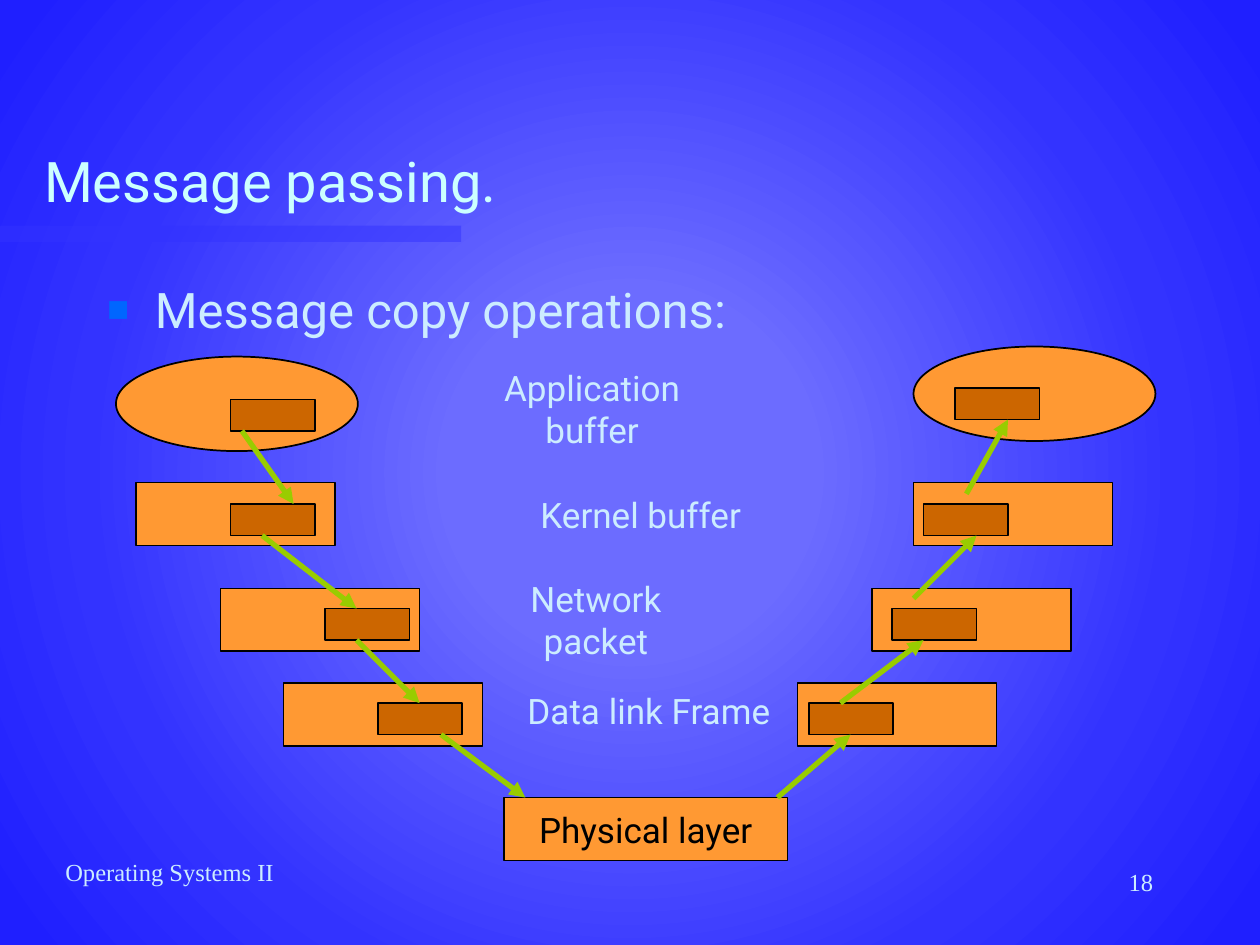
from dataclasses import dataclass

from pptx import Presentation
from pptx.dml.color import RGBColor
from pptx.enum.shapes import MSO_CONNECTOR as Connector, MSO_SHAPE as Shape
from pptx.enum.text import MSO_ANCHOR as Anchor, MSO_AUTO_SIZE as AutoSize, PP_ALIGN as Align
from pptx.oxml import parse_xml
from pptx.oxml.ns import nsdecls, qn
from pptx.util import Inches, Pt


@dataclass(frozen=True)
class Theme:
    font: str = "Roboto"
    footer_font: str = "Times New Roman"
    title: str = "CCFFFF"
    text: str = "CCECFF"
    dark: str = "000000"
    bullet: str = "0066FF"
    bar: str = "3333FF"
    layer: str = "FF9933"
    buffer: str = "CC6600"
    arrow: str = "99CC00"
    glow: tuple = ((0, "6C6CFF"), (23, "6C6CFF"), (69, "3333FF"), (97, "1F1FFF"))
    title_size: int = 32
    body_size: int = 28
    label_size: int = 20
    footer_size: int = 14


THEME = Theme()
LAYER_SIZE = (1.58, 0.5)
PROCESS_SIZE = (1.92, 0.75)
BUFFER_SIZE = (0.67, 0.25)

# Each stage: shape, size, layer corner, buffer corner
STAGES = [
    (Shape.OVAL, PROCESS_SIZE, (0.92, 2.83), (1.83, 3.17)),
    (Shape.OVAL, PROCESS_SIZE, (7.25, 2.75), (7.58, 3.08)),
    (Shape.RECTANGLE, LAYER_SIZE, (1.08, 3.83), (1.83, 4)),
    (Shape.RECTANGLE, LAYER_SIZE, (7.25, 3.83), (7.33, 4)),
    (Shape.RECTANGLE, LAYER_SIZE, (1.75, 4.67), (2.58, 4.83)),
    (Shape.RECTANGLE, LAYER_SIZE, (6.92, 4.67), (7.08, 4.83)),
    (Shape.RECTANGLE, LAYER_SIZE, (2.25, 5.42), (3, 5.58)),
    (Shape.RECTANGLE, LAYER_SIZE, (6.33, 5.42), (6.42, 5.58)),
]

# Each label: text, left, top, width, side insets
LABELS = [
    ("Data link Frame", 4.08, 5.42, 2.14, (0, 0)),
    ("Network packet", 4.11, 4.7, 2.11, (0, 0.87)),
    ("Kernel buffer", 4.19, 3.87, 1.79, (0, 0)),
    ("Application buffer", 3.91, 3.03, 2.35, (0, 0.77)),
]

# Copies down the sender's side, then up the receiver's side
COPIES = [
    ((1.92, 3.42), (2.33, 4)),
    ((2.08, 4.25), (2.83, 4.83)),
    ((2.83, 5.08), (3.33, 5.58)),
    ((3.5, 5.83), (4.17, 6.33)),
    ((6.17, 6.33), (6.75, 5.83)),
    ((6.67, 5.58), (7.33, 5.08)),
    ((7.25, 4.75), (7.75, 4.25)),
    ((7.67, 3.92), (8, 3.33)),
]


def box(left, top, width, height):
    return [Inches(value) for value in (left, top, width, height)]


def write(frame, text, size, color, font=THEME.font, align=Align.LEFT,
          anchor=Anchor.TOP, before=0):
    frame.word_wrap = True
    frame.auto_size = AutoSize.NONE
    frame.vertical_anchor = anchor
    paragraph = frame.paragraphs[0]
    paragraph.alignment = align
    paragraph.space_before = Pt(before)
    run = paragraph.add_run()
    run.text = text
    run.font.size = Pt(size)
    run.font.name = font
    run.font.color.rgb = RGBColor.from_string(color)
    return paragraph


def paint_background(slide):
    slide.background.fill.gradient()
    stops = "".join(f'<a:gs pos="{at * 1000}"><a:srgbClr val="{color}"/></a:gs>'
                    for at, color in THEME.glow)
    glow = parse_xml(
        f'<a:gradFill {nsdecls("a")} rotWithShape="0"><a:gsLst>{stops}</a:gsLst>'
        '<a:path path="circle"><a:fillToRect l="50000" t="50000" r="50000" b="50000"/>'
        '</a:path></a:gradFill>')
    linear = slide.element.find(".//" + qn("a:gradFill"))
    linear.getparent().replace(linear, glow)


def add_block(slide, kind, corner, size, color):
    block = slide.shapes.add_shape(kind, *box(*corner, *size))
    block.shadow.inherit = False
    block.fill.solid()
    block.fill.fore_color.rgb = RGBColor.from_string(color)
    block.line.color.rgb = RGBColor.from_string(THEME.dark)
    block.line.width = Pt(1)
    return block


def add_title_bar(slide):
    bar = add_block(slide, Shape.RECTANGLE, (0, 1.79), (3.66, 0.13), THEME.bar)
    bar.line.fill.background()
    color = bar.fill._xPr.find(".//" + qn("a:srgbClr"))
    color.append(parse_xml(f'<a:alpha {nsdecls("a")} val="50000"/>'))


def add_footer(slide, text, area, align):
    footer = slide.shapes.add_textbox(*box(*area))
    write(footer.text_frame, text, THEME.footer_size, THEME.text,
          THEME.footer_font, align, before=7)


def fill_placeholder(placeholder, area, text, size, color, **options):
    placeholder.left, placeholder.top, placeholder.width, placeholder.height = box(*area)
    return write(placeholder.text_frame, text, size, color, **options)


def add_bullet(paragraph):
    properties = paragraph._p.get_or_add_pPr()
    properties.set("marL", str(Inches(0.38)))
    properties.set("indent", str(Inches(-0.38)))
    for tag in (f'buClr {nsdecls("a")}><a:srgbClr val="{THEME.bullet}"/></a:buClr',
                f'buSzPct {nsdecls("a")} val="75000"/',
                f'buFont {nsdecls("a")} typeface="Arial"/',
                f'buChar {nsdecls("a")} char="\u25a0"/'):
        properties.append(parse_xml(f"<a:{tag}>"))


def add_label(slide, text, left, top, width, insets):
    label = slide.shapes.add_textbox(*box(left, top, width, 0.43))
    frame = label.text_frame
    frame.margin_left, frame.margin_right = map(Inches, insets)
    write(frame, text, THEME.label_size, THEME.text,
          align=Align.CENTER, anchor=Anchor.MIDDLE, before=4)


def add_arrow(slide, start, end):
    arrow = slide.shapes.add_connector(Connector.STRAIGHT, *box(*start, *end))
    arrow.line.color.rgb = RGBColor.from_string(THEME.arrow)
    arrow.line.width = Pt(3)
    arrow.line._get_or_add_ln().append(
        parse_xml(f'<a:tailEnd {nsdecls("a")} type="triangle"/>'))
    arrow._element.spPr.append(parse_xml(f'<a:effectLst {nsdecls("a")}/>'))


def main():
    deck = Presentation()
    deck.slide_width, deck.slide_height = Inches(10), Inches(7.5)
    slide = deck.slides.add_slide(deck.slide_layouts[1])

    # Frame of the slide
    paint_background(slide)
    add_title_bar(slide)
    add_footer(slide, "Operating Systems II", (0.42, 6.75, 3.17, 0.5), Align.LEFT)
    add_footer(slide, "18", (7.17, 6.83, 2.08, 0.5), Align.RIGHT)

    # Title and list
    fill_placeholder(slide.shapes.title, (0.25, 0.5, 8.5, 1.25), "Message passing.",
                     THEME.title_size, THEME.title, anchor=Anchor.BOTTOM)
    operations = fill_placeholder(slide.placeholders[1], (0.75, 2.17, 8.5, 0.58),
                                  "Message copy operations:", THEME.body_size,
                                  THEME.text, before=5.6)
    add_bullet(operations)

    # Layers, each holding its buffer
    for kind, size, layer_corner, buffer_corner in STAGES:
        add_block(slide, kind, layer_corner, size, THEME.layer)
        add_block(slide, Shape.RECTANGLE, buffer_corner, BUFFER_SIZE, THEME.buffer)
    physical = add_block(slide, Shape.RECTANGLE, (4, 6.33), (2.25, 0.5), THEME.layer)
    write(physical.text_frame, "Physical layer", THEME.label_size, THEME.dark,
          align=Align.CENTER, anchor=Anchor.MIDDLE, before=4)

    # Layer names and copy arrows
    for label in LABELS:
        add_label(slide, *label)
    for start, end in COPIES:
        add_arrow(slide, start, end)

    deck.save("out.pptx")


main()
